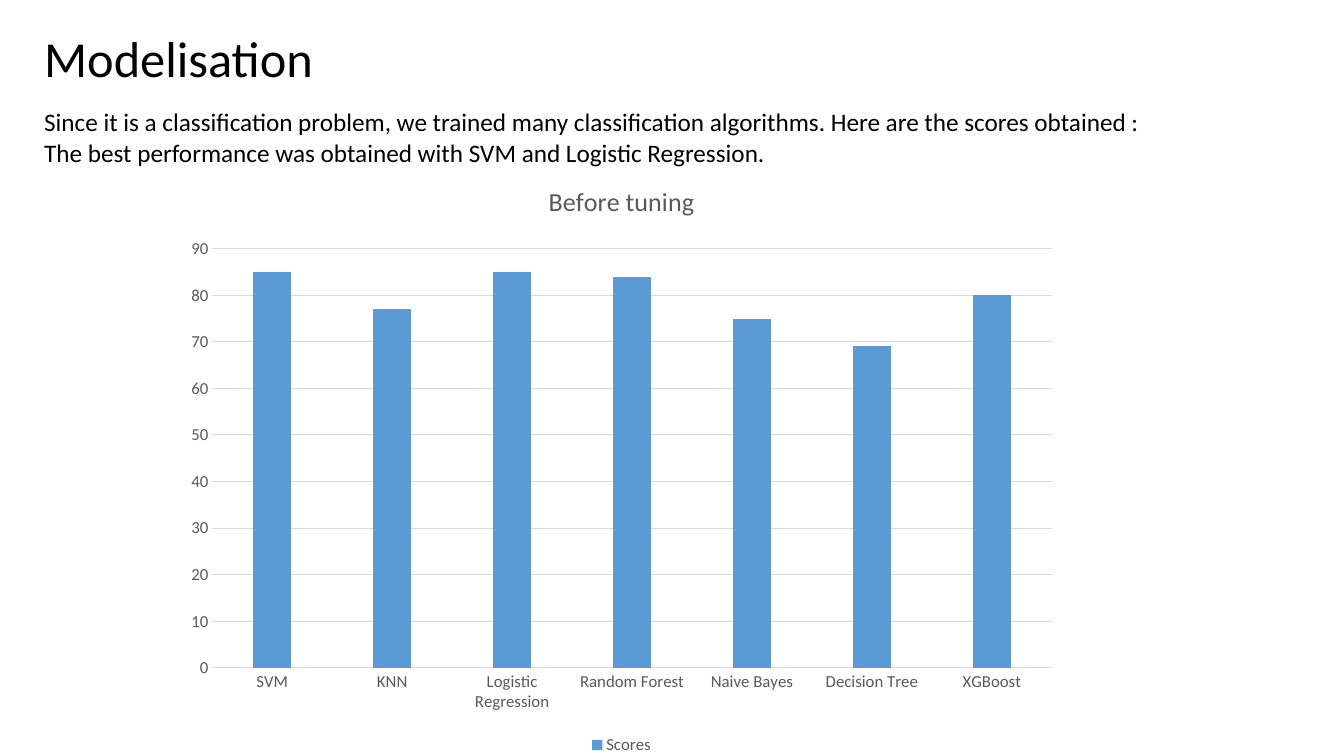
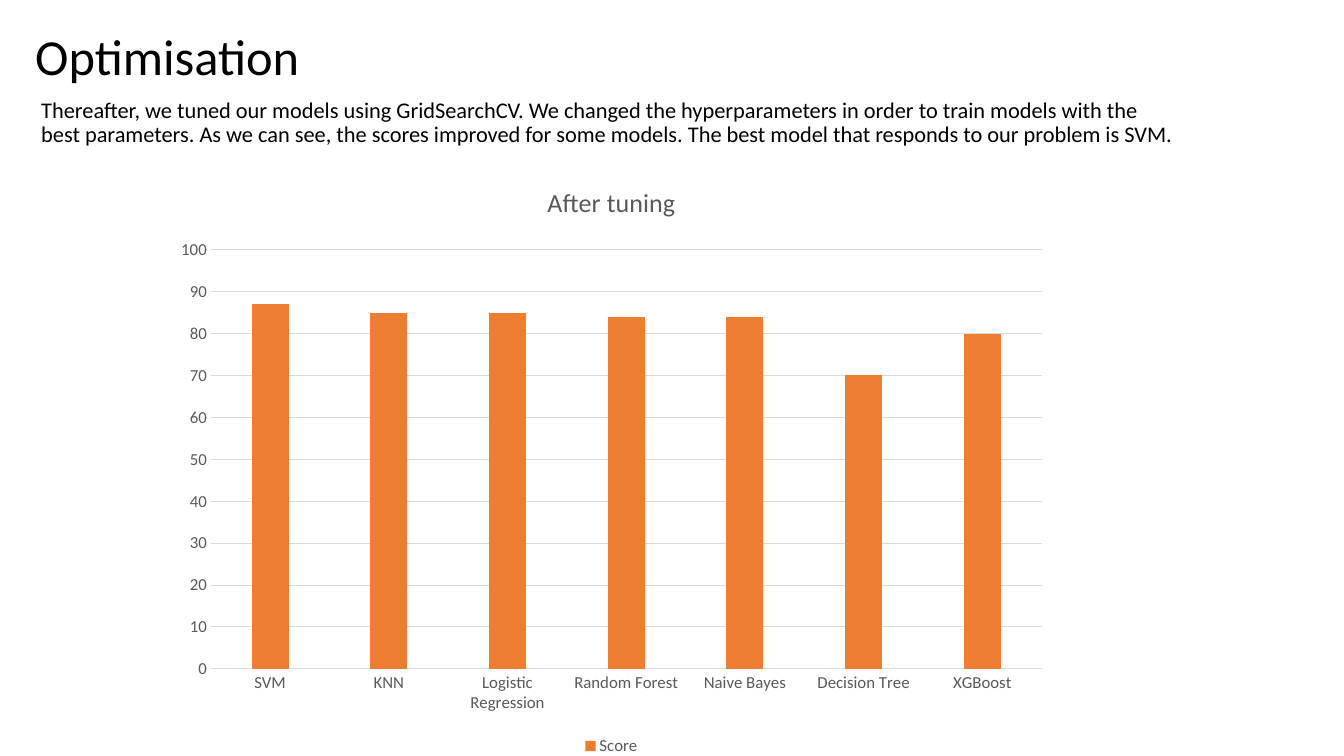
from pptx import Presentation
from pptx.chart.data import CategoryChartData
from pptx.dml.color import RGBColor
from pptx.enum.chart import XL_CHART_TYPE, XL_LEGEND_POSITION, XL_TICK_MARK
from pptx.enum.text import MSO_ANCHOR
from pptx.util import Inches, Pt

COLUMNS = XL_CHART_TYPE.COLUMN_CLUSTERED
BOTTOM = XL_LEGEND_POSITION.BOTTOM
NO_TICK = XL_TICK_MARK.NONE
TOP, MIDDLE = MSO_ANCHOR.TOP, MSO_ANCHOR.MIDDLE

FONT = "Calibri"
COLORS = {"text": "000000", "label": "595959", "grid": "D9D9D9",
          "before": "5B9BD5", "after": "ED7D31"}
MODELS = ["SVM", "KNN", "Logistic Regression", "Random Forest",
          "Naive Bayes", "Decision Tree", "XGBoost"]
CHART_SIZE = (66.69, 79.07)

prs = Presentation()
prs.slide_width, prs.slide_height = Inches(13.33), Inches(7.5)


def place(box):
    """Turn left, top, width, height in percent of the slide into lengths."""
    sides = (prs.slide_width, prs.slide_height) * 2
    return [int(side * share / 100) for side, share in zip(sides, box)]


def rgb(name):
    """Return a named colour."""
    return RGBColor.from_string(COLORS[name])


def style_font(font, size, color):
    """Set the shared typeface with a size and a colour."""
    font.name, font.size, font.bold = FONT, Pt(size), False
    font.color.rgb = rgb(color)


def style_line(line):
    """Draw a thin grey chart line."""
    line.color.rgb = rgb("grid")
    line.width = Pt(0.75)


def add_text(s, box, lines, size, spacing=1.0, anchor=TOP):
    """Add a text box with one paragraph for each line."""
    tf = s.shapes.add_textbox(*place(box)).text_frame
    tf.word_wrap = True
    tf.vertical_anchor = anchor
    for i, line in enumerate(lines):
        p = tf.add_paragraph() if i else tf.paragraphs[0]
        p.line_spacing = spacing
        r = p.add_run()
        r.text = line
        style_font(r.font, size, "text")


def add_scores(s, box, title, series, values, color, top):
    """Add the column chart of the model scores."""
    data = CategoryChartData()
    data.categories = MODELS
    data.add_series(series, values)
    chart = s.shapes.add_chart(COLUMNS, *place(box), data).chart
    style_font(chart.font, 10, "text")

    chart.has_title = True
    r = chart.chart_title.text_frame.paragraphs[0].add_run()
    r.text = title
    style_font(r.font, 18.6, "label")
    chart.chart_title.include_in_layout = False

    chart.has_legend = True
    chart.legend.position = BOTTOM
    chart.legend.include_in_layout = False
    style_font(chart.legend.font, 12, "label")

    for axis in (chart.category_axis, chart.value_axis):
        axis.major_tick_mark = axis.minor_tick_mark = NO_TICK
        style_font(axis.tick_labels.font, 12, "label")
    style_line(chart.category_axis.format.line)
    scale = chart.value_axis
    scale.minimum_scale, scale.maximum_scale, scale.major_unit = 0, top, 10
    scale.format.line.fill.background()
    style_line(scale.major_gridlines.format.line)

    plot = chart.plots[0]
    plot.gap_width, plot.overlap = 219, -27
    plot.vary_by_categories = False
    fill = plot.series[0].format.fill
    fill.solid()
    fill.fore_color.rgb = rgb(color)


def add_slide(title, title_box, text, chart, chart_at):
    """Add a slide with a title, a paragraph block and a score chart."""
    s = prs.slides.add_slide(prs.slide_layouts[6])
    add_text(s, title_box, [title], 36, 0.9, MIDDLE)
    add_text(s, **text)
    add_scores(s, chart_at + CHART_SIZE, **chart)


add_slide(
    "Modelisation", (2.55, 2.8, 21.68, 10.67),
    dict(box=(2.55, 13.47, 85.22, 9.47), size=18, lines=[
        "Since it is a classification problem, we trained many classification "
        "algorithms. Here are the scores obtained :",
        "The best performance was obtained with SVM and Logistic Regression."]),
    dict(title="Before tuning", series="Scores", color="before", top=90,
         values=[85, 77, 85, 84, 75, 69, 80]),
    (12.9, 21.33))

add_slide(
    "Optimisation", (1.88, 1.87, 25.81, 12),
    dict(box=(2.33, 12.4, 86.27, 63.47), size=16, spacing=0.9, lines=[
        "Thereafter, we tuned our models using GridSearchCV. We changed the "
        "hyperparameters in order to train models with the best parameters. "
        "As we can see, the scores improved for some models. The best model "
        "that responds to our problem is SVM."]),
    dict(title="After tuning", series="Score", color="after", top=100,
         values=[87, 85, 85, 84, 84, 70, 80]),
    (12.15, 21.47))

prs.save("out.pptx")
